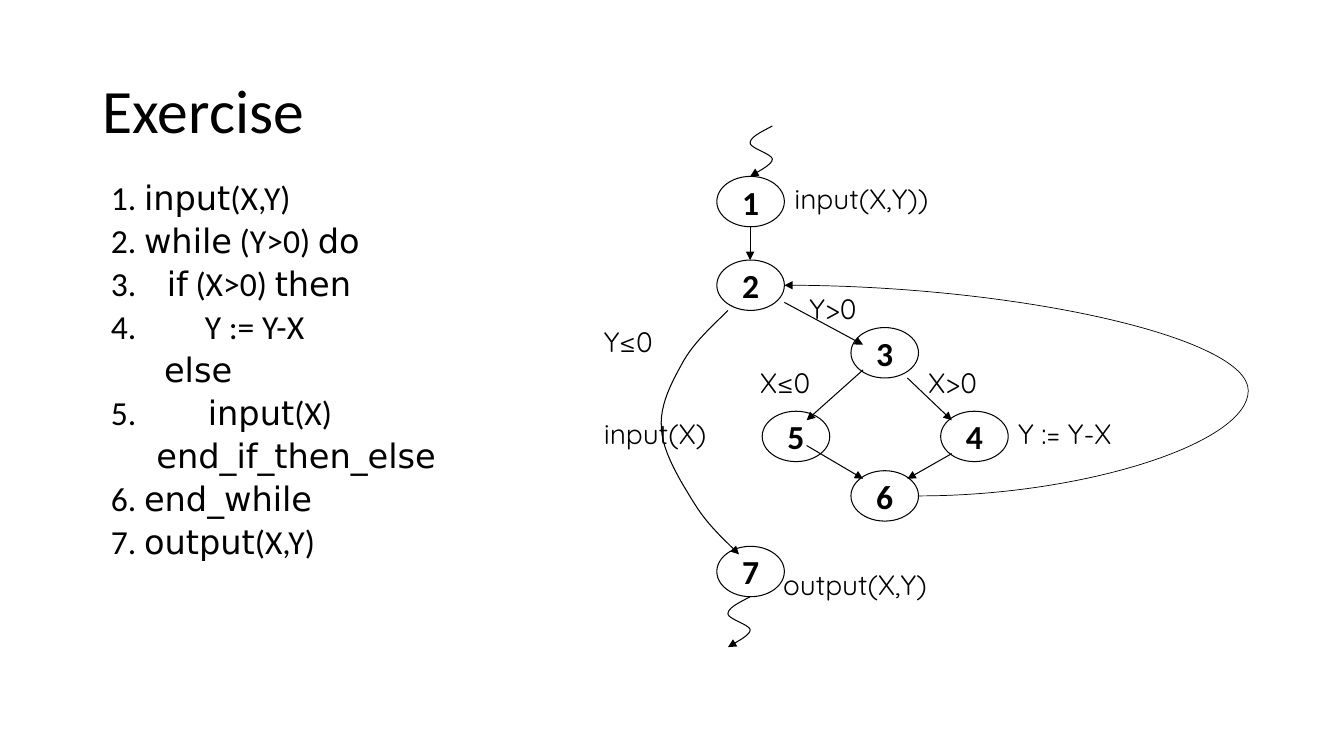
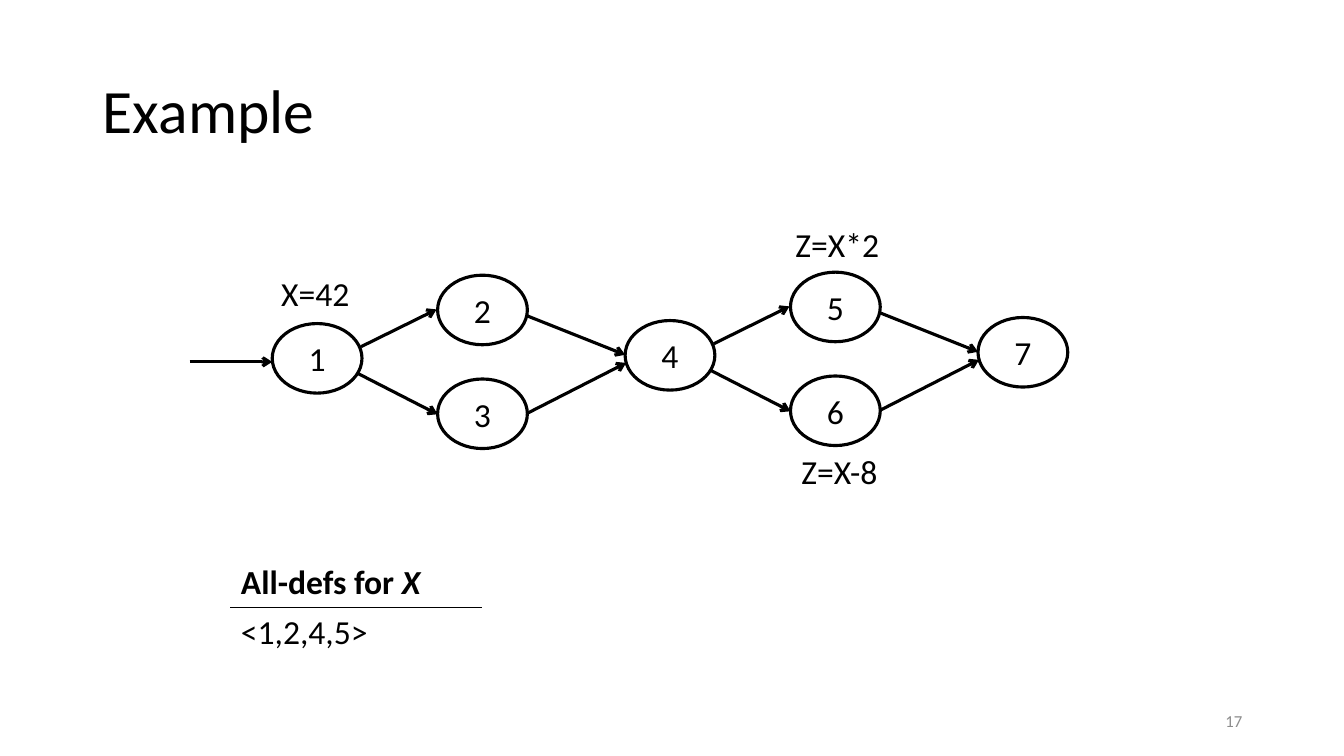
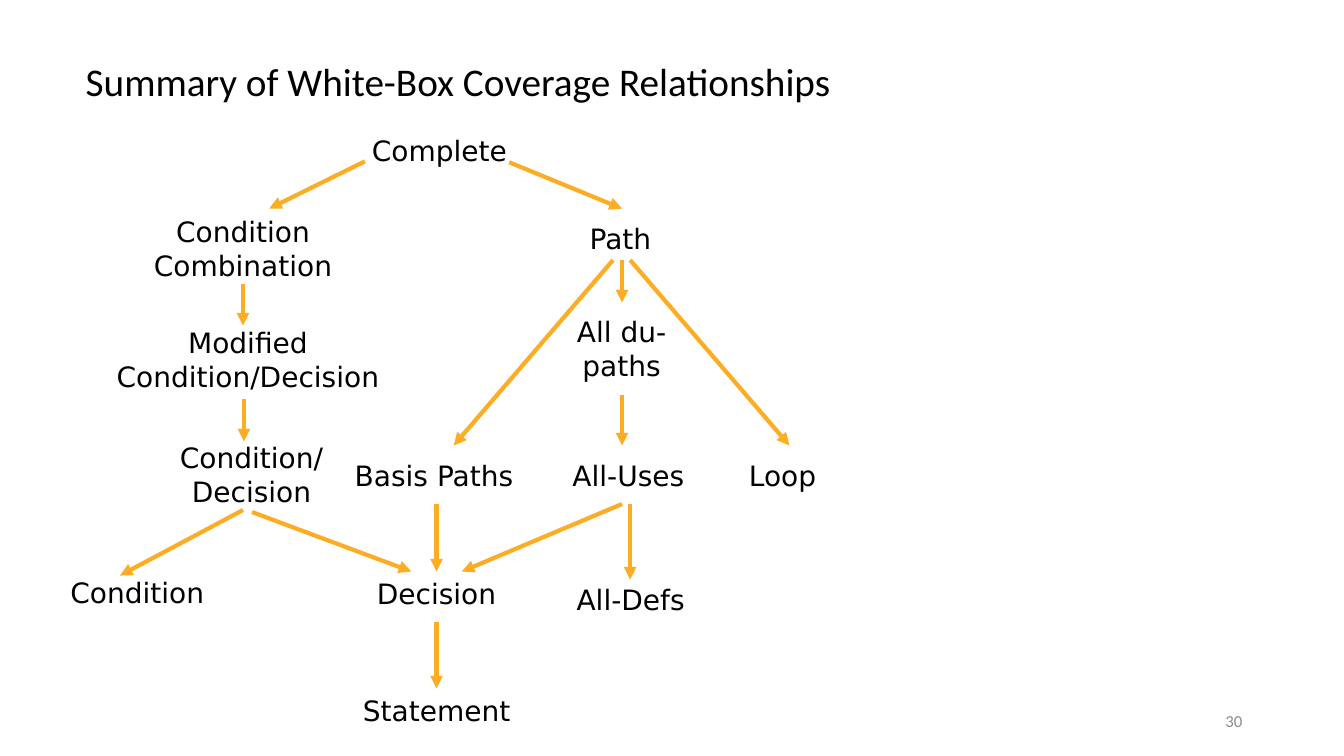
"""Build three slides on control flow graphs and white-box coverage."""
import itertools

import lxml.etree
import pptx
import pptx.dml.color
import pptx.enum.shapes
import pptx.enum.text
import pptx.oxml.ns
import pptx.util

Pt = pptx.util.Pt
qn = pptx.oxml.ns.qn
ALIGN = pptx.enum.text.PP_ALIGN
ANCHOR = pptx.enum.text.MSO_ANCHOR
LINK = pptx.enum.shapes.MSO_CONNECTOR
OVAL = pptx.enum.shapes.MSO_SHAPE.OVAL

COLORS = {"ink": "000000", "paper": "FFFFFF", "gray": "8C8C8C", "gold": "FDAD23"}
MAIN, SANS, ROUND = "Calibri", "DejaVu Sans", "Quicksand"

CODE = [
    ("1. ", "input", "(X,Y)"),
    ("2. ", "while", " (Y>0) ", "do"),
    ("3.    ", "if", " (X>0) ", "then"),
    ("4.         Y := Y-X",),
    ("       ", "else"),
    ("5.        ", " input", "(X)"),
    ("      ", "end_if_then_else"),
    ("6. ", "end_while"),
    ("7. ", "output", "(X,Y)"),
]
FLOW_NODES = {
    "1": (7.11, 1.75), "2": (7.11, 2.58), "3": (8.44, 3.25), "4": (9.33, 4.08),
    "5": (7.56, 4.08), "6": (8.44, 4.67), "7": (7.11, 5.42),
}
FLOW_LABELS = [
    ("input(X,Y))", 7.78, 1.75, 2.56), ("Y := Y-X", 10, 4.08, 1.67),
    ("input(X)", 5.89, 4.08, 1.78), ("Y>0", 7.93, 2.84, 1.22),
    ("X>0", 9.11, 3.58, 1.11), ("output(X,Y)", 7.67, 5.58, 2.44),
    ("X≤0", 7.44, 3.58, 1), ("Y≤0", 5.89, 3.17, 1),
]
FLOW_LINES = [
    (7.44, 2.25, 7.44, 2.58), (7.78, 3, 8.56, 3.42), (9, 3.75, 9.44, 4.17),
    (8.56, 3.67, 8, 4.17), (8, 4.42, 8.56, 4.75), (9.44, 4.5, 9, 4.75),
]
WAVE = [(0.22, 0), (0.11, 0.06), (0, 0.11), (0, 0.17), (0, 0.22), (0.22, 0.28),
        (0.22, 0.33), (0.22, 0.39), (0.04, 0.47), (0, 0.5)]
WAVE_SPOTS = [(7.44, 1.25), (7.22, 5.92)]
EXIT = [(7.22, 3.08), (7.06, 3.24), (6.89, 3.39), (6.78, 3.58), (6.67, 3.78),
        (6.54, 4.01), (6.56, 4.25), (6.57, 4.49), (6.76, 4.79), (6.89, 5),
        (7.02, 5.21), (7.18, 5.35), (7.33, 5.5)]

HALF_NODES = [(2.7, 3.21), (4.34, 2.73), (4.34, 3.76)]
HALF_LINES = [(3.58, 3.44, 4.33, 3.07), (3.54, 3.7, 4.34, 4.11),
              (5.22, 3.13, 6.2, 3.52), (5.23, 4.1, 6.21, 3.6)]
HALF_STEP = (3.5, -0.03)
ENTRY = (1.88, 3.59, 2.7, 3.59)
STATES = [("X=42", 2.69, 2.66, 0.98), ("Z=X*2", 7.79, 2.17, 1.19),
          ("Z=X-8", 7.85, 4.42, 1.19)]
DEFS = [[("All-defs for ", True, False), ("X", True, True)],
        [("<1,2,4,5>", False, False)]]

LEFT, MID = ALIGN.LEFT, ALIGN.CENTER
TERMS = [
    ("Complete", 3.59, 1.28, 1.83, LEFT), ("Path", 5.75, 2.15, 1, LEFT),
    ("Condition Combination", 1.25, 2.08, 2.32, MID),
    ("Modified Condition/Decision", 0.96, 3.18, 3, MID),
    ("All du-paths", 5.54, 3.07, 1.25, MID),
    ("Condition/ Decision", 1.58, 4.32, 1.83, MID),
    ("Basis Paths", 3.42, 4.5, 2.17, LEFT), ("All-Uses", 5.58, 4.5, 1.5, LEFT),
    ("Loop", 7.33, 4.5, 1.33, LEFT), ("Condition", 0.6, 5.66, 1.83, LEFT),
    ("Decision", 3.58, 5.67, 1.5, MID), ("All-Defs", 5.62, 5.73, 1.42, LEFT),
    ("Statement", 3.5, 6.83, 1.92, LEFT),
]
TERM_LINES = [
    (3.62, 1.6, 2.67, 2.07), (5.05, 1.61, 6.17, 2.07), (2.41, 2.82, 2.41, 3.23),
    (2.42, 3.96, 2.42, 4.38), (2.41, 5.06, 1.19, 5.71), (2.5, 5.08, 4.08, 5.67),
    (6.17, 2.58, 6.17, 3), (6.08, 2.58, 4.5, 4.42), (6.25, 2.58, 7.83, 4.42),
    (6.17, 3.92, 6.17, 4.42), (6.17, 5, 4.58, 5.67), (6.25, 5, 6.25, 5.75),
    (4.33, 5, 4.33, 5.67), (4.33, 6.17, 4.33, 6.83),
]


def size(*values):
    return [pptx.util.Cm(value * 2.54) for value in values]


def color(name):
    return pptx.dml.color.RGBColor.from_string(COLORS[name])


def write(para, text, points, face=MAIN, bold=False, slant=False, tint="ink"):
    run = para.add_run()
    run.text = text
    font = run.font
    font.size, font.name, font.bold, font.italic = Pt(points), face, bold, slant
    font.color.rgb = color(tint)


def start(deck, layout, text, box, points=44):
    slide = deck.slides.add_slide(deck.slide_layouts[layout])
    title = slide.shapes.title
    title.left, title.top, title.width, title.height = size(*box)
    frame = title.text_frame
    frame.vertical_anchor = ANCHOR.MIDDLE
    frame.auto_size = pptx.enum.text.MSO_AUTO_SIZE.NONE
    para = frame.paragraphs[0]
    para.alignment, para.line_spacing = LEFT, 0.9
    write(para, text, points)
    return slide


def label(slide, text, left, top, width, align=LEFT, points=20, face=SANS,
          tint="ink", height=0.43):
    box = slide.shapes.add_textbox(*size(left, top, width, height))
    frame = box.text_frame
    frame.word_wrap = True
    para = frame.paragraphs[0]
    para.alignment = align
    write(para, text, points, face, tint=tint)
    return frame


def number(slide, text):
    frame = label(slide, text, 9.42, 6.95, 3, ALIGN.RIGHT, 12, MAIN, "gray", 0.4)
    frame.vertical_anchor = ANCHOR.MIDDLE


def node(slide, text, box, weight, bold=False):
    oval = slide.shapes.add_shape(OVAL, *size(*box))
    oval.shadow.inherit = False
    oval.fill.solid()
    oval.fill.fore_color.rgb = color("paper")
    oval.line.color.rgb = color("ink")
    oval.line.width = Pt(weight)
    frame = oval.text_frame
    frame.word_wrap = False
    frame.vertical_anchor = ANCHOR.MIDDLE
    frame.margin_left = frame.margin_right = frame.margin_top = frame.margin_bottom = 0
    para = frame.paragraphs[0]
    para.alignment = MID
    write(para, text, 24, bold=bold)


def point(shape, weight, tint="ink", head="triangle"):
    shape.line.color.rgb = color(tint)
    shape.line.width = Pt(weight)
    props = shape._element.spPr
    lxml.etree.SubElement(props.find(qn("a:ln")), qn("a:tailEnd"), type=head)
    if props.find(qn("a:effectLst")) is None:
        lxml.etree.SubElement(props, qn("a:effectLst"))


def arrow(slide, ends, weight, tint="ink", head="triangle", kind=LINK.STRAIGHT):
    line = slide.shapes.add_connector(kind, *size(*ends))
    point(line, weight, tint, head)
    return line


def curve(slide, knots, steps=12):
    dots = []
    for first in range(0, len(knots) - 1, 3):
        quad = knots[first:first + 4]
        for step in range(1, steps + 1):
            t = step / steps
            parts = ((1 - t) ** 3, 3 * t * (1 - t) ** 2, 3 * t * t * (1 - t), t ** 3)
            dots.append(size(*(sum(p * knot[axis] for p, knot in zip(parts, quad))
                               for axis in (0, 1))))
    form = slide.shapes.build_freeform(*size(*knots[0]))
    form.add_line_segments(dots, close=False)
    shape = form.convert_to_shape()
    shape.fill.background()
    point(shape, 0.75)


def list_code(slide):
    body = slide.placeholders[1]
    body.left, body.top, body.width, body.height = size(1, 1.75, 4.89, 4.5)
    frame = body.text_frame
    frame.auto_size = pptx.enum.text.MSO_AUTO_SIZE.NONE
    indent = size(0.5)[0]
    for index, parts in enumerate(CODE):
        para = frame.add_paragraph() if index else frame.paragraphs[0]
        props = para._p.get_or_add_pPr()
        props.set("marL", str(indent))
        props.set("indent", str(-indent))
        lxml.etree.SubElement(props, qn("a:buNone"))
        para.line_spacing = 0.9
        para.space_before = Pt(2.4 if index else 0)
        para.space_after = Pt(2.4)
        for text, face in zip(parts, itertools.cycle((MAIN, SANS))):
            write(para, text, 24, face)


def exercise(deck):
    slide = start(deck, 1, "Exercise", (0.92, 0.4, 4.79, 1.45))
    list_code(slide)
    for text, spot in FLOW_NODES.items():
        node(slide, text, (*spot, 0.67, 0.5), 0.75, True)
    for item in FLOW_LABELS:
        label(slide, *item, face=ROUND)
    for ends in FLOW_LINES:
        arrow(slide, ends, 0.75)
    for left, top in WAVE_SPOTS:
        curve(slide, [(left + x, top + y) for x, y in WAVE])
    curve(slide, EXIT)
    loop = arrow(slide, (9.11, 4.92, 7.78, 2.83), 0.5, kind=LINK.CURVE)
    guides = loop._element.spPr.find(".//" + qn("a:avLst"))
    lxml.etree.SubElement(guides, qn("a:gd"), name="adj1", fmla="val -246000")


def example(deck):
    slide = start(deck, 5, "Example", (0.92, 0.4, 11.5, 1.45))
    number(slide, "17")
    for index in range(7):
        half, place = divmod(index, 3)
        left, top = (base + half * step
                     for base, step in zip(HALF_NODES[place], HALF_STEP))
        node(slide, str(index + 1), (left, top, 0.89, 0.69), 2.25)
    arrow(slide, ENTRY, 2.25, head="arrow")
    for half, ends in itertools.product(range(2), HALF_LINES):
        moved = [end + half * step for end, step in zip(ends, HALF_STEP * 2)]
        arrow(slide, moved, 2.25, head="arrow")
    for item in STATES:
        label(slide, *item, points=24, face=MAIN, height=0.5)
    table = slide.shapes.add_table(2, 1, *size(2.29, 5.53, 2.48, 1)).table
    for row, (runs, side) in enumerate(zip(DEFS, ("a:lnB", "a:lnT"))):
        cell = table.cell(row, 0)
        cell.fill.solid()
        cell.fill.fore_color.rgb = color("paper")
        for run in runs:
            text, bold, slant = run
            write(cell.text_frame.paragraphs[0], text, 24, bold=bold, slant=slant)
        edge = lxml.etree.Element(qn(side), w=str(Pt(1)))
        fill = lxml.etree.SubElement(edge, qn("a:solidFill"))
        lxml.etree.SubElement(fill, qn("a:srgbClr"), val=COLORS["ink"])
        cell._tc.get_or_add_tcPr().insert(0, edge)


def summary(deck):
    slide = start(deck, 5, "Summary of White-Box Coverage Relationships",
                  (0.75, 0.42, 9.17, 0.83), 28)
    number(slide, "30")
    for item in TERMS:
        label(slide, *item)
    for ends in TERM_LINES:
        arrow(slide, ends, 3, "gold")


def main():
    deck = pptx.Presentation()
    deck.slide_width, deck.slide_height = size(13.33, 7.5)
    exercise(deck)
    example(deck)
    summary(deck)
    deck.save("out.pptx")


if __name__ == "__main__":
    main()
